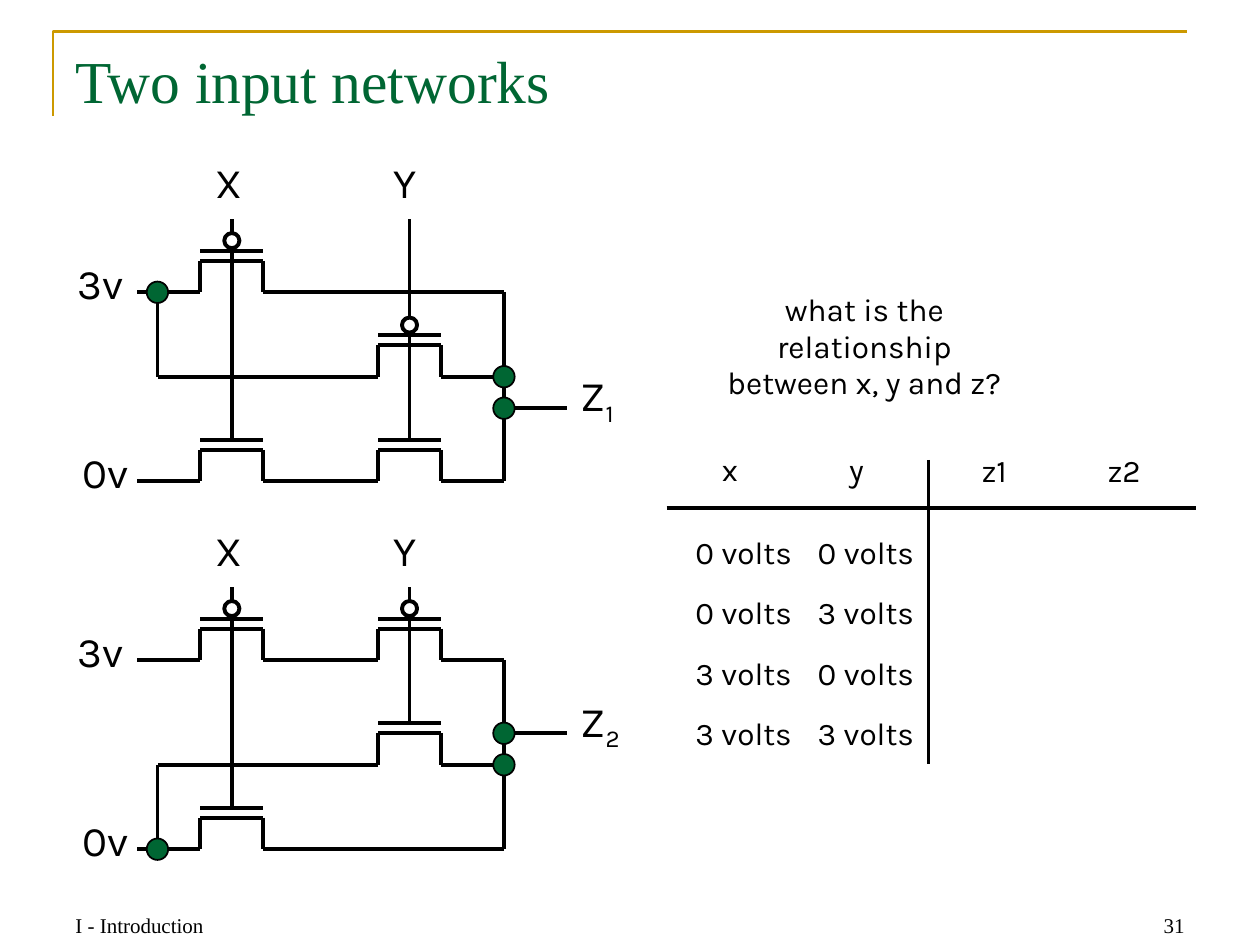
from itertools import product

from lxml import etree
from pptx import Presentation
from pptx.dml.color import RGBColor
from pptx.enum.shapes import MSO_CONNECTOR, MSO_SHAPE
from pptx.enum.text import MSO_ANCHOR as Anchor, MSO_AUTO_SIZE as AutoSize, PP_ALIGN as Align
from pptx.oxml.ns import qn
from pptx.util import Inches, Pt

BLACK = RGBColor(0x00, 0x00, 0x00)
WHITE = RGBColor(0xFF, 0xFF, 0xFF)
GREEN = RGBColor(0x00, 0x66, 0x33)
GOLD = RGBColor(0xCC, 0x99, 0x00)
SERIF, SANS = "Times New Roman", "Karla"

X_GATE, Y_GATE = 1.84, 3.25
SUPPLY, OUTPUT = 1.25, 4
RAIL_GAP = 1.5
WIRE = 2.25


class SlideBuilder:
    """Holds the label style and the slide being drawn."""

    label_margins = {"margin_left": Inches(0.02), "margin_right": Inches(0.02),
                     "margin_top": Inches(0.03), "margin_bottom": Inches(0.03)}

    def __init__(self, slide):
        self.slide = slide
        self.shapes = slide.shapes

    def style_font(self, font, size, name=SANS, color=BLACK):
        for key, value in {"size": Pt(size), "name": name}.items():
            setattr(font, key, value)
        font.color.rgb = color

    def title(self, text, left, top, width, height):
        heading = self.shapes.title
        place = {"left": left, "top": top, "width": width, "height": height}
        for key, value in place.items():
            setattr(heading, key, Inches(value))
        frame = heading.text_frame
        frame.text = text
        frame.auto_size = AutoSize.NONE
        frame.vertical_anchor = Anchor.TOP
        frame.paragraphs[0].alignment = Align.LEFT
        self.style_font(frame.paragraphs[0].font, 34, SERIF, GREEN)

    def footer(self, text, left, align):
        box = self.shapes.add_textbox(Inches(left), Inches(6.99), Inches(2.33), Inches(0.5))
        frame = box.text_frame
        frame.text = text
        frame.word_wrap = True
        frame.vertical_anchor = Anchor.BOTTOM
        frame.paragraphs[0].alignment = align
        self.style_font(frame.paragraphs[0].font, 12, SERIF)

    def label(self, text, left, top, width=0.4, height=0.45, size=18,
              align=Align.LEFT, spacing=21, subscript="", tabs=()):
        box = self.shapes.add_textbox(Inches(left), Inches(top), Inches(width), Inches(height))
        frame = box.text_frame
        for key, value in self.label_margins.items():
            setattr(frame, key, value)
        frame.word_wrap = False
        frame.text = text
        line = frame.paragraphs[0]
        line.alignment = align
        line.line_spacing = Pt(spacing)
        if tabs:
            stops = etree.SubElement(line._p.get_or_add_pPr(), qn("a:tabLst"))
            for position in tabs:
                etree.SubElement(stops, qn("a:tab"), pos=str(Inches(position)), algn="l")
        self.style_font(line.font, size)
        if subscript:
            lowered = line.add_run()
            lowered.text = subscript
            lowered.font._element.set("baseline", "-25000")

    def wire(self, *points, weight=WIRE):
        """Join the points by straight lines."""
        for start, end in zip(points, points[1:]):
            ends = [Inches(value) for value in (*start, *end)]
            segment = self.shapes.add_connector(MSO_CONNECTOR.STRAIGHT, *ends)
            segment.line.color.rgb = BLACK
            segment.line.width = Pt(weight)
            etree.SubElement(segment._element.spPr, qn("a:effectLst"))

    def circle(self, x, y, diameter, fill, weight):
        corner = Inches(x - diameter / 2), Inches(y - diameter / 2)
        dot = self.shapes.add_shape(MSO_SHAPE.OVAL, *corner, Inches(diameter), Inches(diameter))
        dot.shadow.inherit = False
        dot.fill.solid()
        dot.fill.fore_color.rgb = fill
        dot.line.color.rgb = BLACK
        dot.line.width = Pt(weight)

    def corner_rule(self, left, top, right, bottom):
        left, top, right, bottom = (Inches(value) for value in (left, top, right, bottom))
        outline = self.shapes.build_freeform(left, bottom)
        outline.add_line_segments([(left, top), (right, top)], close=False)
        rule = outline.convert_to_shape()
        rule.shadow.inherit = False
        rule.fill.background()
        rule.line.color.rgb = GOLD
        rule.line.width = Pt(1.5)

    def transistor(self, x, y, inverted=False):
        """Draw a transistor with its gate at x and its channel ends at y."""
        near, far, plate = 0.25, 0.75, y - 0.33
        self.wire((x - far, y), (x - near, y), (x - near, y - 0.25),
                  (x + near, y - 0.25), (x + near, y), (x + far, y))
        self.wire((x - near, plate), (x + near, plate))
        self.wire((x, plate), (x, plate - 0.25))
        if inverted:
            self.circle(x, y - 0.41, 0.12, WHITE, WIRE)

    def network(self, top, y_rows, branch, fed_rail, out, number):
        """Draw one network; row values are measured down from its 3v rail."""
        bottom = top + RAIL_GAP
        x_rows = (0, RAIL_GAP)
        self.wire((OUTPUT, top), (OUTPUT, bottom))
        self.wire((OUTPUT, top + out), (OUTPUT + 0.5, top + out))
        self.wire((2.5, top + branch), (SUPPLY, top + branch), (SUPPLY, top + fed_rail))
        self.wire((OUTPUT, top + fed_rail), (2.5, top + fed_rail))
        for gate, rows in ((X_GATE, x_rows), (Y_GATE, y_rows)):
            self.wire((gate, top + rows[1] - 0.5), (gate, top - 0.58))
            for row, inverted in zip(rows, (True, False)):
                self.transistor(gate, top + row, inverted)
        for x, row in ((SUPPLY, fed_rail), (OUTPUT, branch), (OUTPUT, out)):
            self.circle(x, top + row, 0.17, GREEN, 1)
        for name, gate in (("X", X_GATE), ("Y", Y_GATE)):
            self.label(name, gate - 0.15, top - 1, size=24)
        for name, left, rail in (("3v", 0.5, top), ("0v", 0.54, bottom)):
            self.label(name, left, rail - 0.2, width=0.5, size=24, align=Align.RIGHT)
        self.label("Z", 4.59, top + out - 0.17, height=0.6, size=24, subscript=number)

    def truth_table(self):
        self.wire((5.29, 4.03), (9.49, 4.03), weight=2)
        self.wire((7.37, 3.65), (7.37, 6.06), weight=2)
        self.label("x", 5.71, 3.55)
        self.label("y", 6.72, 3.55)
        self.label("z1\t\tz2", 7.77, 3.56, width=1.32, tabs=(0.5, 1, 1.5))
        for row, inputs in enumerate(product((0, 3), repeat=2)):
            for volts, left in zip(inputs, (5.5, 6.47)):
                self.label(f"{volts} volts", left, 4.22 + 0.48 * row, width=0.97, spacing=20)


def main():
    deck = Presentation()
    deck.slide_width, deck.slide_height = Inches(10), Inches(7.5)
    builder = SlideBuilder(deck.slides.add_slide(deck.slide_layouts[5]))

    builder.corner_rule(0.42, 0.25, 9.42, 0.92)
    builder.title("Two input networks", 0.5, 0.3, 9, 1.25)
    builder.network(2.32, y_rows=(0.67, RAIL_GAP), branch=0.67, fed_rail=0,
                    out=0.92, number="1")
    builder.network(5.24, y_rows=(0, 0.83), branch=0.83, fed_rail=RAIL_GAP,
                    out=0.58, number="2")
    builder.label("what is the\vrelationship\vbetween x, y and z?", 5.6, 2.28,
                  width=2.52, height=1.03, align=Align.CENTER)
    builder.truth_table()
    builder.footer("I - Introduction", 0.5, Align.LEFT)
    builder.footer("31", 7.17, Align.RIGHT)
    deck.save("out.pptx")


if __name__ == "__main__":
    main()
